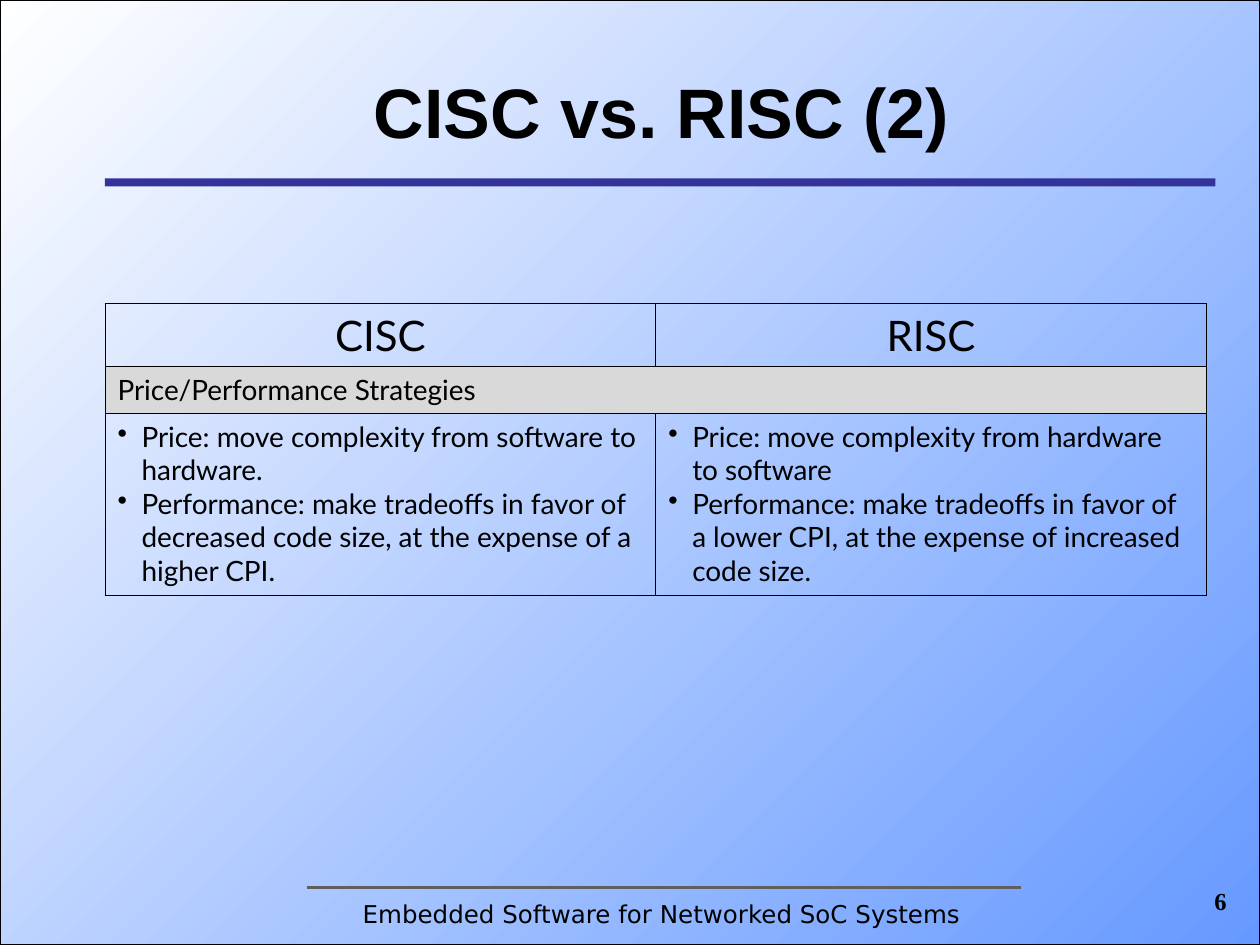
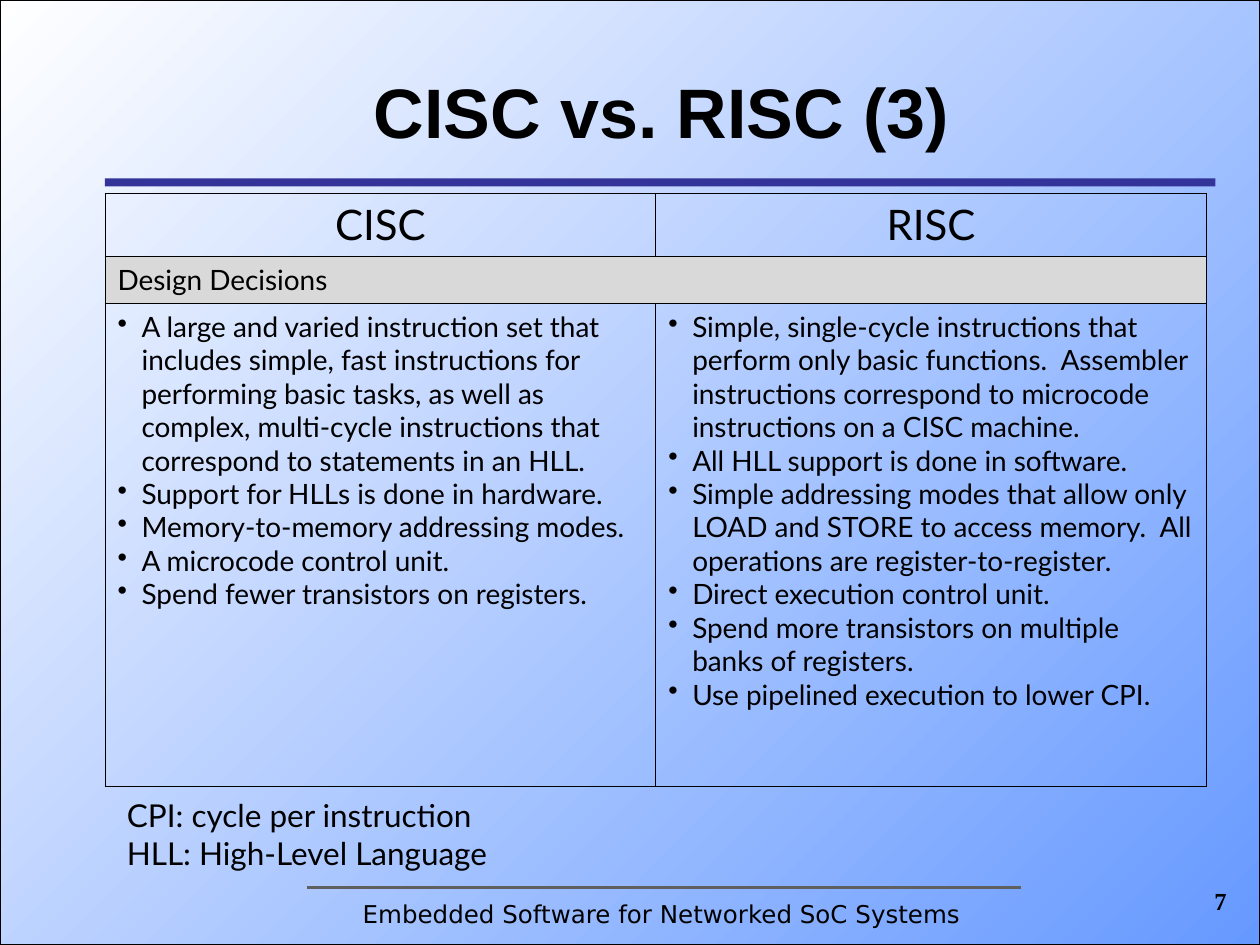
"""Build two slides comparing CISC and RISC."""
from lxml import etree
from pptx import Presentation
from pptx import util as u
from pptx.dml.color import RGBColor
from pptx.enum import shapes, text
from pptx.oxml import ns

HEX = {"ink": "000000", "bar": "333399", "rule": "5F5F5F",
       "band": "D9D9D9", "pale": "FFFFFF", "deep": "6699FF"}
COLS, ROWS = 120, 90
WIDE, HIGH = u.Inches(10), u.Inches(7.5)
LEFT, SPAN = 10, 106
TABLE = 104.9
LATO = "Lato"
FOOT = "Embedded Software for Networked SoC Systems"
ALIGN = text.PP_ALIGN

PRICE = [
    ["Price: move complexity from software to hardware.",
     "Performance: make tradeoffs in favor of decreased code size, "
     "at the expense of a higher CPI."],
    ["Price: move complexity from hardware to software",
     "Performance: make tradeoffs in favor of a lower CPI, "
     "at the expense of increased code size."],
]
DESIGN = [
    ["A large and varied instruction set that includes simple, fast "
     "instructions for performing basic tasks, as well as complex, "
     "multi-cycle instructions that correspond to statements in an HLL.",
     "Support for HLLs is done in hardware.",
     "Memory-to-memory addressing modes.",
     "A microcode control unit.",
     "Spend fewer transistors on registers."],
    ["Simple, single-cycle instructions that perform only basic functions.  "
     "Assembler instructions correspond to microcode instructions on a "
     "CISC machine.",
     "All HLL support is done in software.",
     "Simple addressing modes that allow only LOAD and STORE to access "
     "memory.  All operations are register-to-register.",
     "Direct execution control unit.",
     "Spend more transistors on multiple banks of registers.",
     "Use pipelined execution to lower CPI."],
]
TERMS = ["CPI: cycle per instruction", "HLL: High-Level Language"]


def across(cols):
    """Turn grid columns into a length."""
    return int(WIDE * cols / COLS)


def down(rows):
    """Turn grid rows into a length."""
    return int(HIGH * rows / ROWS)


def place(left, top, cols, rows):
    """Turn a grid box into left, top, width and height."""
    return across(left), down(top), across(cols), down(rows)


def color(name):
    """Look up a named colour."""
    return RGBColor.from_string(HEX[name])


def bullet(para):
    """Give a paragraph a hanging bullet."""
    props = para._p.get_or_add_pPr()
    props.set("marL", str(u.Inches(0.19)))
    props.set("indent", str(-u.Inches(0.19)))
    etree.SubElement(props, ns.qn("a:buChar")).set("char", "•")


def write(frame, lines, size, face=LATO, bold=False, align=ALIGN.LEFT,
          dots=False):
    """Fill a text frame with one paragraph per line."""
    for num, line in enumerate(lines):
        para = frame.add_paragraph() if num else frame.paragraphs[0]
        para.alignment = align
        if dots:
            bullet(para)
        run = para.add_run()
        run.text = line
        font = run.font
        font.name, font.size, font.bold = face, u.Pt(size), bold
        font.color.rgb = color("ink")


def label(slide, box, lines, size, wrap=True, mid=False, **style):
    """Add a text box on the grid."""
    frame = slide.shapes.add_textbox(*place(*box)).text_frame
    frame.word_wrap = wrap
    if mid:
        frame.vertical_anchor = text.MSO_ANCHOR.MIDDLE
    write(frame, lines, size, **style)


def block(slide, box):
    """Add a plain rectangle on the grid."""
    rect = slide.shapes.add_shape(shapes.MSO_SHAPE.RECTANGLE, *place(*box))
    rect.shadow.inherit = False
    return rect


def sky(slide):
    """Cover the slide with the diagonal gradient."""
    rect = block(slide, (0, 0, COLS, ROWS))
    rect.fill.gradient()
    rect.fill.gradient_angle = 315
    for stop, name in zip(rect.fill.gradient_stops, ("pale", "deep")):
        stop.color.rgb = color(name)
    rect.line.color.rgb = color("ink")
    rect.line.width = u.Pt(0.75)


def rule(slide, left, right, top):
    """Draw the thin line above the footer."""
    line = slide.shapes.add_connector(
        shapes.MSO_CONNECTOR.STRAIGHT,
        across(left), down(top), across(right), down(top))
    line.line.color.rgb = color("rule")
    line.line.width = u.Pt(1.5)
    etree.SubElement(line._element.spPr, ns.qn("a:effectLst"))


def frame_up(deck, title, page):
    """Add a slide with gradient, title, bar and footer."""
    slide = deck.slides.add_slide(deck.slide_layouts[6])
    sky(slide)
    bar = block(slide, (LEFT, 17, 105.75, 0.75))
    bar.fill.solid()
    bar.fill.fore_color.rgb = color("bar")
    bar.line.fill.background()
    rule(slide, 29.2, 97.2, 84.5)
    label(slide, (LEFT, 4, SPAN, 13), [title], 40, mid=True,
          face="Arial", bold=True, align=ALIGN.CENTER)
    label(slide, (LEFT, 85, SPAN, 4.2), [FOOT], 14,
          face="DejaVu Sans", align=ALIGN.CENTER)
    label(slide, (105, 83.8, 13, 6), [str(page)], 14,
          face="Times New Roman", bold=True, align=ALIGN.RIGHT)
    return slide


def edge(cell):
    """Outline a table cell on all four sides."""
    props = cell._tc.get_or_add_tcPr()
    for side in "LRTB":
        line = etree.SubElement(props, ns.qn("a:ln" + side))
        line.set("w", str(u.Pt(0.45)))
        fill = etree.SubElement(line, ns.qn("a:solidFill"))
        etree.SubElement(fill, ns.qn("a:srgbClr")).set("val", HEX["ink"])


def versus(slide, top, topic, points, tall):
    """Add the table that sets CISC against RISC."""
    rows = (6, 4.5, tall)
    table = slide.shapes.add_table(
        3, 2, *place(LEFT, top, TABLE, sum(rows))).table
    table.first_row = table.horz_banding = False
    for row, size in zip(table.rows, rows):
        row.height = down(size)
    for cell in table.iter_cells():
        edge(cell)
        cell.fill.background()
    for num, head in enumerate(("CISC", "RISC")):
        write(table.cell(0, num).text_frame, [head], 24, align=ALIGN.CENTER)
        write(table.cell(2, num).text_frame, points[num], 16, dots=True)
    band = table.cell(1, 0)
    band.merge(table.cell(1, 1))
    band.fill.solid()
    band.fill.fore_color.rgb = color("band")
    write(band.text_frame, [topic], 16)


def main():
    """Build and save the deck."""
    deck = Presentation()
    deck.slide_width, deck.slide_height = WIDE, HIGH
    slide = frame_up(deck, "CISC vs. RISC (2)", 6)
    versus(slide, 28.9, "Price/Performance Strategies", PRICE, 17.3)
    slide = frame_up(deck, "CISC vs. RISC (3)", 7)
    versus(slide, 18.4, "Design Decisions", DESIGN, 46)
    label(slide, (10.9, 75.2, 39, 8.4), TERMS, 18, wrap=False)
    deck.save("out.pptx")


if __name__ == "__main__":
    main()
